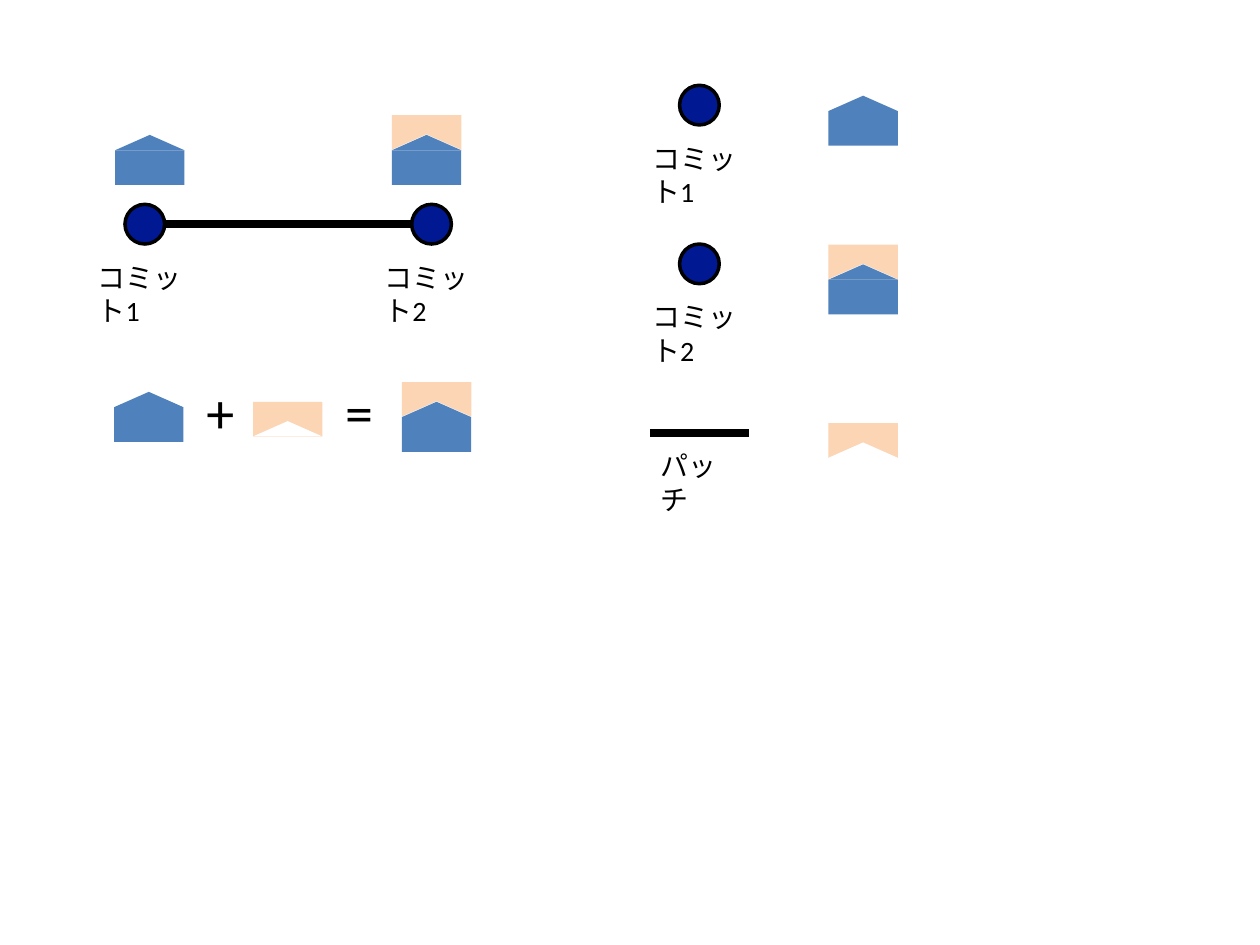
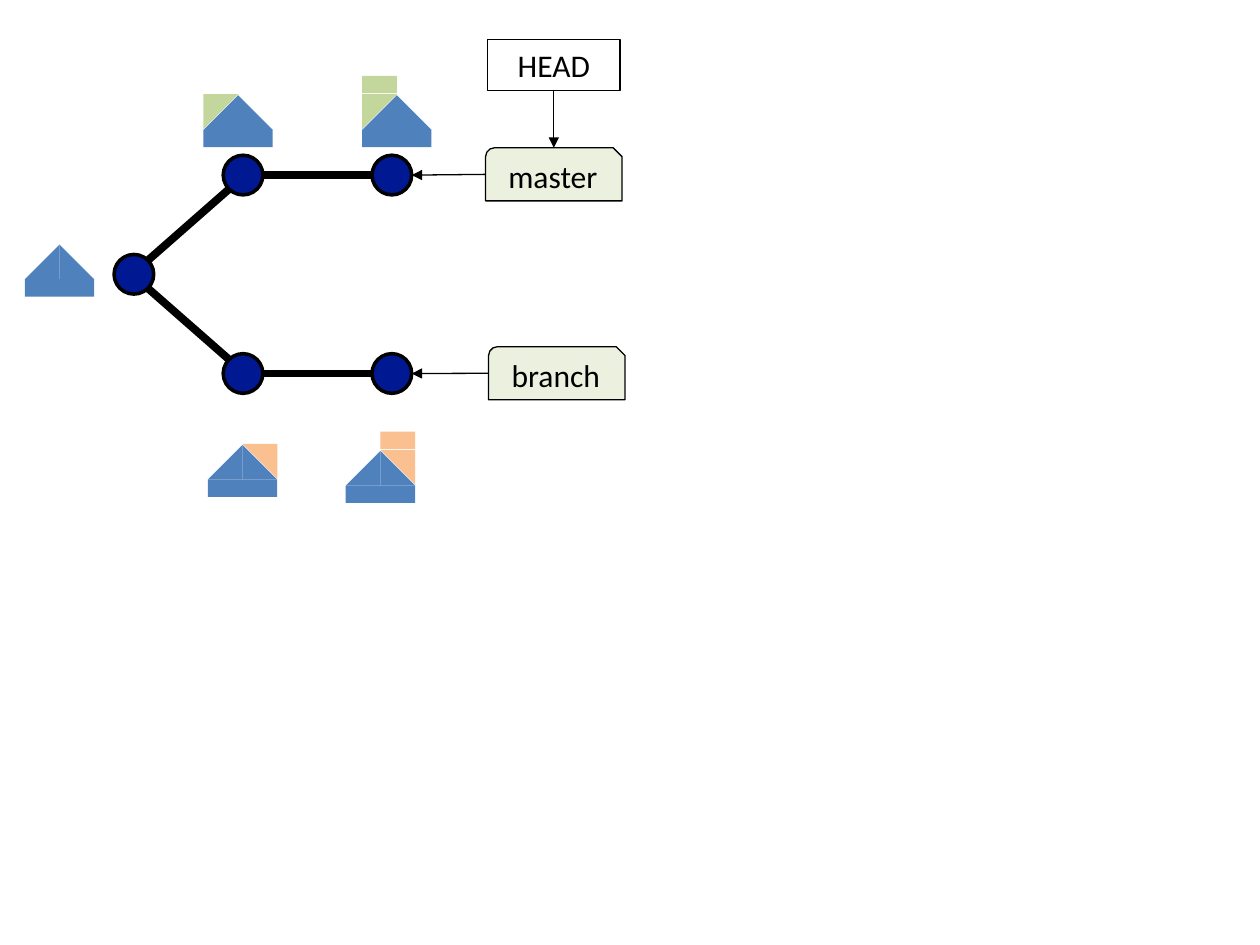
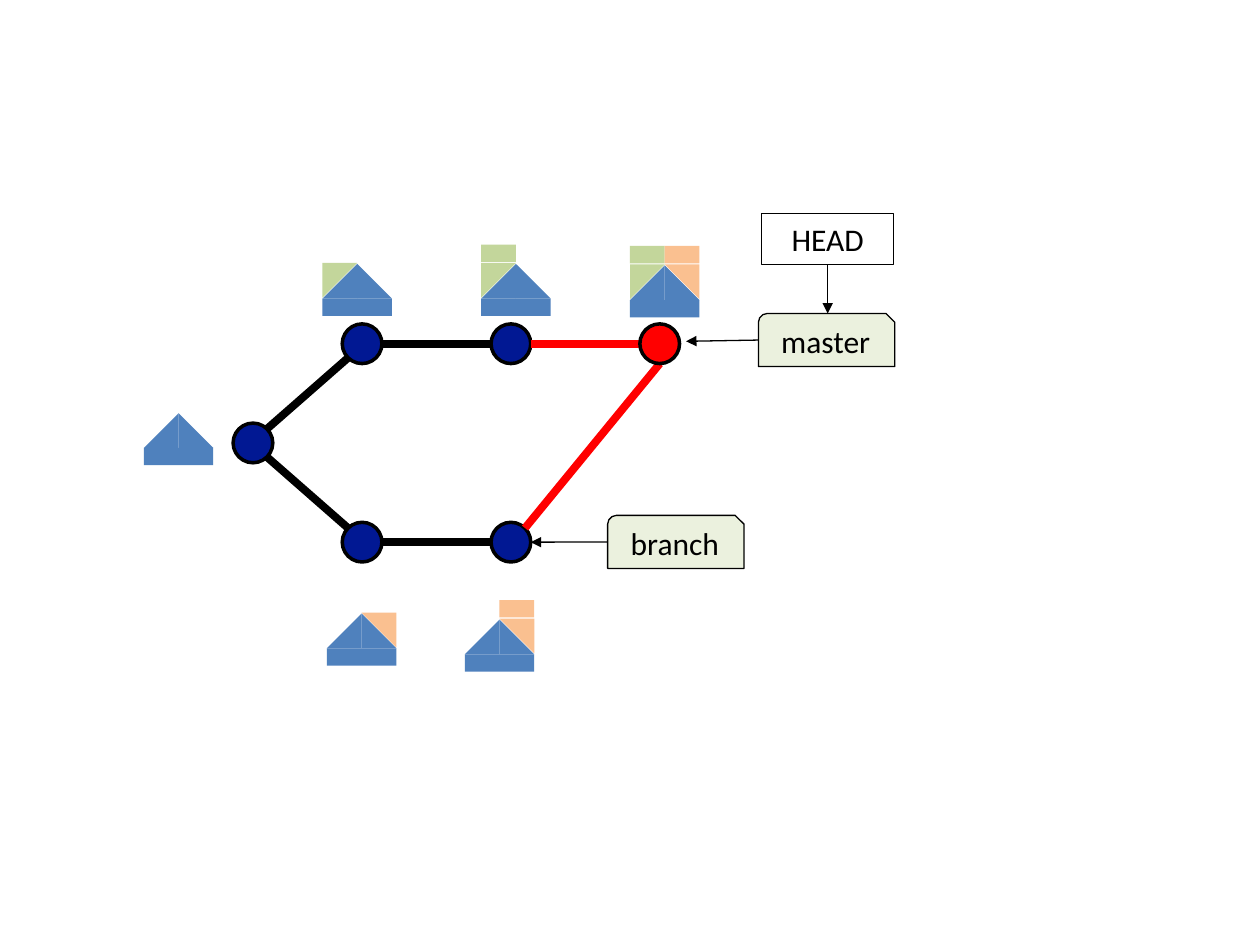
from lxml.etree import SubElement
from pptx import Presentation
from pptx.dml.color import RGBColor
from pptx.enum.shapes import MSO_CONNECTOR, MSO_SHAPE
from pptx.enum.text import MSO_ANCHOR, MSO_AUTO_SIZE, PP_ALIGN
from pptx.oxml.ns import qn
from pptx.util import Cm, Pt

COLORS = {
    "ink": "000000", "paper": "FFFFFF", "commit": "011893", "merge": "FF0000",
    "base": "4F81BD", "patch": "FCD5B5", "master": "C3D69B",
    "branch": "FAC090", "label": "EBF1DE",
}
FONT = "Calibri"

# All lengths below are centimetres
RADIUS = 0.4
UNIT = 0.7                      # half the width of a content block
GABLE = 0.31                    # height of the low roof
DIAGONAL = 0.71
SIDES = {
    "right": (1, 0), "left": (-1, 0), "bottom": (0, 1),
    "upper right": (DIAGONAL, -DIAGONAL), "lower right": (DIAGONAL, DIAGONAL),
    "upper left": (-DIAGONAL, -DIAGONAL), "lower left": (-DIAGONAL, DIAGONAL),
}


def rgb(name):
    return RGBColor.from_string(COLORS[name])


# Basic elements
def add_shape(shapes, kind, x, y, width, height, fill=None, line=0, rotation=0):
    shape = shapes.add_shape(kind, Cm(x), Cm(y), Cm(width), Cm(height))
    shape.shadow.inherit = False
    shape.rotation = rotation
    if fill:
        shape.fill.solid()
        shape.fill.fore_color.rgb = rgb(fill)
    else:
        shape.fill.background()
    if line:
        shape.line.color.rgb = rgb("ink")
        shape.line.width = Pt(line)
    else:
        shape.line.fill.background()
    return shape


def add_line(page, start, end, color="ink", width=4.5, arrow=False):
    points = [Cm(value) for value in (*start, *end)]
    line = page.shapes.add_connector(MSO_CONNECTOR.STRAIGHT, *points)
    line.line.color.rgb = rgb(color)
    line.line.width = Pt(width)
    if arrow:
        SubElement(line.line._get_or_add_ln(), qn("a:tailEnd"), type="triangle")
    SubElement(line._element.spPr, qn("a:effectLst"))


def write(box, text, size, align=PP_ALIGN.LEFT):
    frame = box.text_frame
    frame.word_wrap = True
    frame.auto_size = MSO_AUTO_SIZE.SHAPE_TO_FIT_TEXT
    frame.text = text
    para = frame.paragraphs[0]
    para.alignment = align
    span = para.runs[0]
    span.font.name = FONT
    span.font.size = Pt(size)
    span.font.color.rgb = rgb("ink")


def add_text(page, x, y, width, height, text, size=16):
    box = page.shapes.add_textbox(Cm(x), Cm(y), Cm(width), Cm(height))
    write(box, text, size)


# Commits and the edges between them
def add_commit(page, center, label=None, fill="commit"):
    x, y = center
    add_shape(page.shapes, MSO_SHAPE.OVAL, x - RADIUS, y - RADIUS,
              2 * RADIUS, 2 * RADIUS, fill, 2)
    if label:
        add_text(page, x - 1.2, y + 0.6, 2.44, 0.94, label)


def site(center, side):
    dx, dy = SIDES[side]
    return center[0] + RADIUS * dx, center[1] + RADIUS * dy


def add_edge(page, start, start_side, end, end_side, color="ink"):
    add_line(page, site(start, start_side), site(end, end_side), color)


# Content with a low roof, used to explain patches
def add_content(page, x, y):
    shapes = page.shapes.add_group_shape().shapes
    add_shape(shapes, MSO_SHAPE.RECTANGLE, x, y + GABLE, 2 * UNIT, UNIT, "base")
    add_shape(shapes, MSO_SHAPE.ISOSCELES_TRIANGLE, x, y, 2 * UNIT, GABLE, "base")


def add_patch(page, x, y):
    shapes = page.shapes.add_group_shape().shapes
    add_shape(shapes, MSO_SHAPE.RECTANGLE, x, y, 2 * UNIT, UNIT, "patch",
              rotation=180)
    add_shape(shapes, MSO_SHAPE.ISOSCELES_TRIANGLE, x, y + UNIT - GABLE,
              2 * UNIT, GABLE, "paper")


def add_patched_content(page, x, y):
    add_patch(page, x, y)
    add_content(page, x, y + 0.4)


# Content with a steep roof; each side may carry one or two changes
def add_state(page, x, y, master=0, branch=0):
    triangle = MSO_SHAPE.RIGHT_TRIANGLE
    shapes = page.shapes.add_group_shape().shapes
    add_shape(shapes, MSO_SHAPE.RECTANGLE, x, y + UNIT, 2 * UNIT, UNIT / 2, "base")
    add_shape(shapes, triangle, x, y, UNIT, UNIT, "base", rotation=270)
    add_shape(shapes, triangle, x + UNIT, y, UNIT, UNIT, "base")
    for changes, left, fill, turn in ((master, x, "master", 90),
                                      (branch, x + UNIT, "branch", 180)):
        if changes > 0:
            add_shape(page.shapes, triangle, left, y - 0.02, UNIT, UNIT, fill,
                      rotation=turn)
        if changes > 1:
            add_shape(page.shapes, MSO_SHAPE.RECTANGLE, left, y - 0.39,
                      UNIT, UNIT / 2, fill)


# Reference labels
def add_reference(page, x, y, name, target):
    width, height = 2.75, 1.07
    box = add_shape(page.shapes, MSO_SHAPE.SNIP_ROUND_RECTANGLE, x, y,
                    width, height, "label", 0.75)
    box.text_frame.vertical_anchor = MSO_ANCHOR.MIDDLE
    write(box, name, 18, PP_ALIGN.CENTER)
    add_line(page, (x, y + height / 2), target, width=0.75, arrow=True)


def add_head(page, x, y, target_y):
    width, height = 2.67, 1.03
    box = add_shape(page.shapes, MSO_SHAPE.RECTANGLE, x, y, width, height, line=0.75)
    box.text_frame.vertical_anchor = MSO_ANCHOR.MIDDLE
    write(box, "HEAD", 18, PP_ALIGN.CENTER)
    middle = x + width / 2
    add_line(page, (middle, y + height), (middle, target_y), width=0.75, arrow=True)


def add_history(page, left, top):
    """Draw two lines of work from one start; return the centres of their tips."""
    start = (left + 2.7, top + 5.53)
    upper = [(left + x, top + 3.53) for x in (4.9, 7.9)]
    lower = [(left + x, top + 7.53) for x in (4.9, 7.9)]
    for center in (start, *upper, *lower):
        add_commit(page, center)
    add_edge(page, start, "upper right", upper[0], "lower left")
    add_edge(page, start, "lower right", lower[0], "upper left")
    for first, second in (upper, lower):
        add_edge(page, first, "right", second, "left")

    add_state(page, left + 0.5, top + 4.93)
    add_state(page, left + 4.1, top + 1.92, master=1)
    add_state(page, left + 7.3, top + 1.92, master=2)
    add_state(page, left + 4.19, top + 8.97, branch=1)
    add_state(page, left + 6.97, top + 9.09, branch=2)
    add_reference(page, left + 9.85, top + 6.99, "branch", site(lower[1], "right"))
    return upper[1], lower[1]


# Slides
def build_patch_slide(page):
    # Two commits joined by a patch
    first, second = (2.92, 4.52), (8.7, 4.52)
    add_commit(page, first, "コミット1")
    add_commit(page, second, "コミット2")
    add_edge(page, first, "right", second, "left")
    add_content(page, 2.32, 2.72)
    add_patched_content(page, 7.9, 2.32)

    # Sum of content and patch
    add_content(page, 2.3, 7.9)
    add_text(page, 3.91, 7.49, 1.09, 1.63, "+", 32)
    add_patch(page, 5.1, 8.1)
    add_text(page, 6.71, 7.49, 1.09, 1.63, "=", 32)
    add_patched_content(page, 8.1, 7.7)

    # Legend
    add_commit(page, (14.1, 2.12), "コミット1")
    add_content(page, 16.7, 1.93)
    add_commit(page, (14.1, 5.32), "コミット2")
    add_patched_content(page, 16.7, 4.93)
    add_line(page, (13.1, 8.73), (15.1, 8.73))
    add_text(page, 13.06, 8.92, 2.03, 0.94, "パッチ")
    add_patch(page, 16.7, 8.53)


def build_branch_slide(page):
    master_tip, _ = add_history(page, 0, 0)
    add_reference(page, 9.79, 2.98, "master", site(master_tip, "right"))
    add_head(page, 9.83, 0.8, 2.98)


def build_merge_slide(page):
    master_tip, branch_tip = add_history(page, 2.4, 3.4)
    merge = (master_tip[0] + 3, master_tip[1])
    add_edge(page, master_tip, "right", merge, "left", "merge")
    add_edge(page, branch_tip, "upper right", merge, "bottom", "merge")
    add_commit(page, merge, fill="merge")
    add_state(page, 12.7, 5.35, master=2, branch=2)
    add_reference(page, 15.29, 6.32, "master", (13.83, 6.88))
    add_head(page, 15.35, 4.31, 6.32)


def main():
    deck = Presentation()
    deck.slide_width, deck.slide_height = Cm(25.4), Cm(19.05)
    for build in (build_patch_slide, build_branch_slide, build_merge_slide):
        build(deck.slides.add_slide(deck.slide_layouts[6]))
    deck.save("out.pptx")


main()
